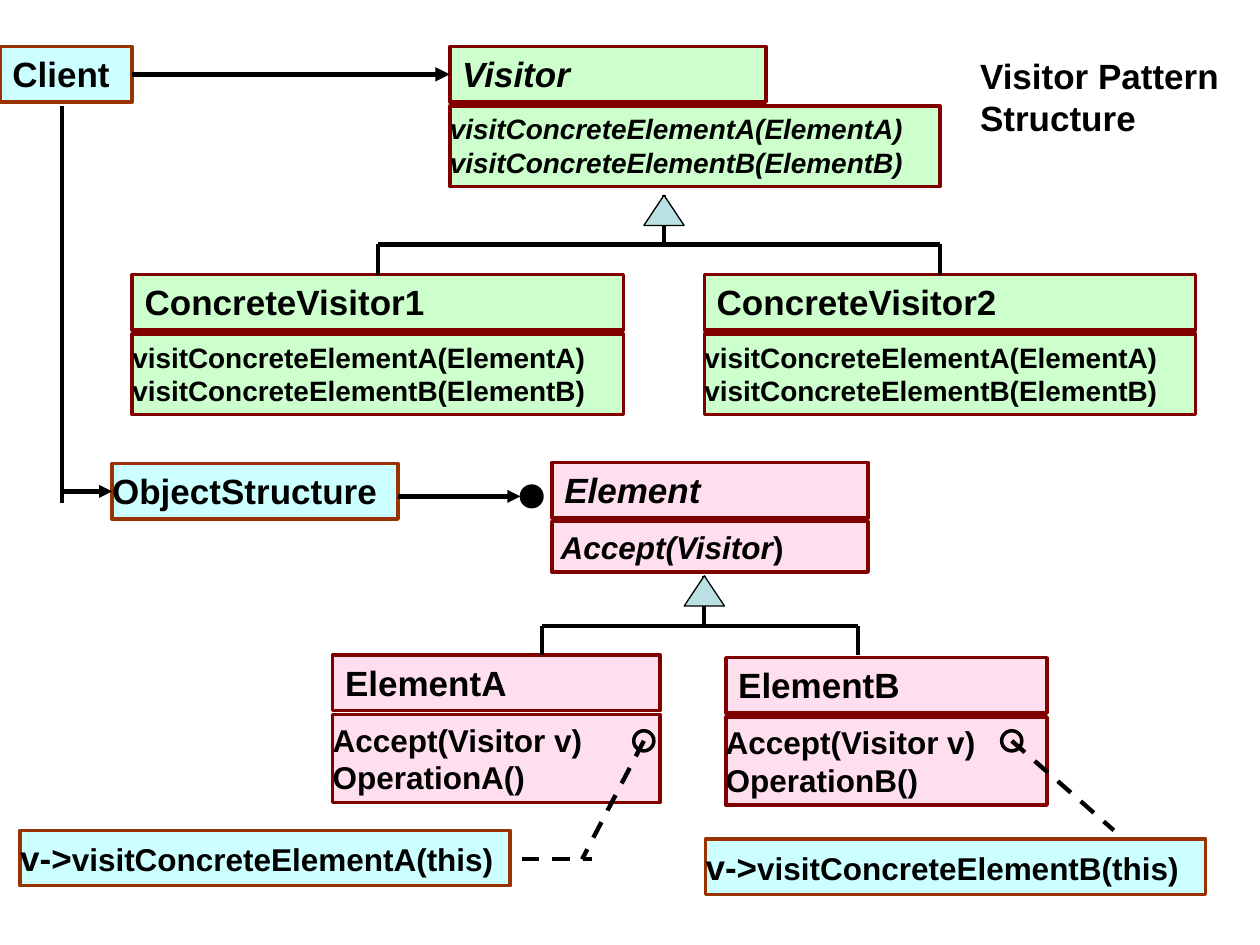
from lxml import etree
from pptx import Presentation
from pptx.dml.color import RGBColor
from pptx.enum.dml import MSO_LINE
from pptx.enum.shapes import MSO_CONNECTOR, MSO_SHAPE
from pptx.enum.text import MSO_ANCHOR, PP_ALIGN
from pptx.oxml.ns import qn
from pptx.util import Inches, Pt

RECTANGLE, TRIANGLE, OVAL = MSO_SHAPE.RECTANGLE, MSO_SHAPE.ISOSCELES_TRIANGLE, MSO_SHAPE.OVAL
STRAIGHT, DASH = MSO_CONNECTOR.STRAIGHT, MSO_LINE.DASH
TOP, LEFT = MSO_ANCHOR.TOP, PP_ALIGN.LEFT

BLACK = RGBColor(0x00, 0x00, 0x00)
CYAN = RGBColor(0xCC, 0xFF, 0xFF)
GREEN = RGBColor(0xCC, 0xFF, 0xCC)
PINK = RGBColor(0xFF, 0x99, 0xCC)
TEAL = RGBColor(0xBB, 0xE0, 0xE3)
BROWN = RGBColor(0x99, 0x33, 0x00)
MAROON = RGBColor(0x80, 0x00, 0x00)

ITALIC = {"italic": True}

deck = Presentation()
deck.slide_width, deck.slide_height = Inches(10), Inches(7.5)
page = deck.slides.add_slide(deck.slide_layouts[6])


def add_box(kind, place, fill, outline, weight=2, lines=(), size=20, inset=0.1):
    """Add a shape; each line of text is a list of (text, format) spans."""
    box = page.shapes.add_shape(kind, *map(Inches, place))
    box.shadow.inherit = False
    if fill is None:
        box.fill.background()
    else:
        box.fill.solid()
        box.fill.fore_color.rgb = fill
    if fill == PINK:
        color = box.fill._xPr.find(qn("a:solidFill"))[0]
        etree.SubElement(color, qn("a:alpha")).set("val", "32000")
    if outline is None:
        box.line.fill.background()
    else:
        box.line.color.rgb = outline
        box.line.width = Pt(weight)
    frame = box.text_frame
    frame.word_wrap, frame.vertical_anchor = True, TOP
    frame.margin_left = frame.margin_right = Inches(inset)
    for index, spans in enumerate(lines):
        para = frame.paragraphs[0] if index == 0 else frame.add_paragraph()
        para.alignment = LEFT
        for text, changes in spans:
            span = para.add_run()
            span.text = text
            span.font.color.rgb = BLACK
            look = {"name": "Arial", "size": Pt(size), "bold": True, **changes}
            for name, value in look.items():
                setattr(span.font, name, value)
    return box


def add_line(x1, y1, x2, y2, weight=2.5, arrow=False, dashed=False):
    line = page.shapes.add_connector(STRAIGHT, *map(Inches, (x1, y1, x2, y2)))
    line.line.color.rgb = BLACK
    line.line.width = Pt(weight)
    if dashed:
        line.line.dash_style = DASH
    if arrow:
        etree.SubElement(line.line._get_or_add_ln(), qn("a:tailEnd")).set("type", "triangle")
    etree.SubElement(line._element.spPr, qn("a:effectLst"))
    return line


# Class boxes: name on top, operations below
visits = ["visitConcreteElementA(ElementA)", "visitConcreteElementB(ElementB)"]
classes = [
    # name, left, top, name width, body width, body height, fill, body size, operations, format
    ("Visitor", 3.57, 0.37, 2.51, 3.89, 0.64, GREEN, 16, visits, ITALIC),
    ("ConcreteVisitor1", 1.05, 2.18, 3.9, 3.9, 0.64, GREEN, 16, visits, {}),
    ("ConcreteVisitor2", 5.59, 2.18, 3.9, 3.9, 0.64, GREEN, 16, visits, {}),
    ("Element", 4.38, 3.67, 2.51, 2.51, 0.4, PINK, 18, [], ITALIC),
    ("ElementA", 2.64, 5.2, 2.6, 2.6, 0.7, PINK, 18, ["Accept(Visitor v)", "OperationA()"], {}),
    ("ElementB", 5.76, 5.22, 2.55, 2.55, 0.7, PINK, 18, ["Accept(Visitor v)", "OperationB()"], {}),
]
names = {}
for name, left, top, width, body_width, height, fill, size, operations, look in classes:
    names[name] = add_box(RECTANGLE, (left, top, width, 0.44), fill, MAROON,
                          lines=[[(name, look)]])
    lines = [[(operation, look)] for operation in operations]
    inset = 0
    if name == "Element":
        lines, inset = [[("Accept(Visitor", ITALIC), (")", {})]], 0.07
    add_box(RECTANGLE, (left, top + 0.47, body_width, height), fill, MAROON,
            lines=lines, size=size, inset=inset)

# Client, object structure and code notes
client = add_box(RECTANGLE, (0, 0.37, 1.05, 0.44), CYAN, BROWN, lines=[[("Client", {})]])
structure = add_box(RECTANGLE, (0.89, 3.68, 2.27, 0.44), CYAN, BROWN,
                    lines=[[("ObjectStructure", {})]], inset=0)
for letter, left, top, width in [("A", 0.16, 6.59, 3.89), ("B", 5.6, 6.66, 3.97)]:
    call = [("v->", {}), (f"visitConcreteElement{letter}(this)", {"size": Pt(18)})]
    add_box(RECTANGLE, (left, top, width, 0.44), CYAN, BROWN, lines=[call], inset=0)

# Inheritance trees: bar, two drops, stem and triangle
for peak, top, first, second, bar, bottom in [(5.27, 1.55, 3, 7.46, 1.94, 2.18),
                                              (5.59, 4.57, 4.3, 6.81, 4.97, 5.2)]:
    add_line(first, bar, second, bar)
    left_drop = add_line(first, bar, first, bottom)
    if bottom == 2.18:
        left_drop.end_connect(names["ConcreteVisitor1"], 0)
    add_line(second, bar, second, bottom)
    add_line(peak, top, peak, bar)
    add_box(TRIANGLE, (peak - 0.16, top, 0.32, 0.24), TEAL, BLACK, 0.75)

# Associations
visitor_link = add_line(1.05, 0.59, 3.57, 0.59, 2.75, arrow=True)
visitor_link.begin_connect(client, 3)
visitor_link.end_connect(names["Visitor"], 1)
add_line(0.49, 0.84, 0.49, 3.99)
structure_link = add_line(0.49, 3.9, 0.89, 3.9, arrow=True)
structure_link.end_connect(structure, 1)
add_line(3.16, 3.94, 4.13, 3.94, arrow=True)
add_box(OVAL, (4.14, 3.86, 0.16, 0.16), BLACK, BLACK, 2.25)

# Dashed links from operations to their notes
for left in (5.03, 7.95):
    add_box(OVAL, (left, 5.8, 0.16, 0.16), None, BLACK)
for ends in [(5.11, 5.88, 4.62, 6.82), (4.14, 6.82, 4.7, 6.82), (8.03, 5.88, 8.84, 6.59)]:
    add_line(*ends, dashed=True)

# Title
add_box(RECTANGLE, (7.68, 0.38, 2.13, 0.77), None, None,
        lines=[[("Visitor Pattern Structure", {})]])

deck.save("out.pptx")
